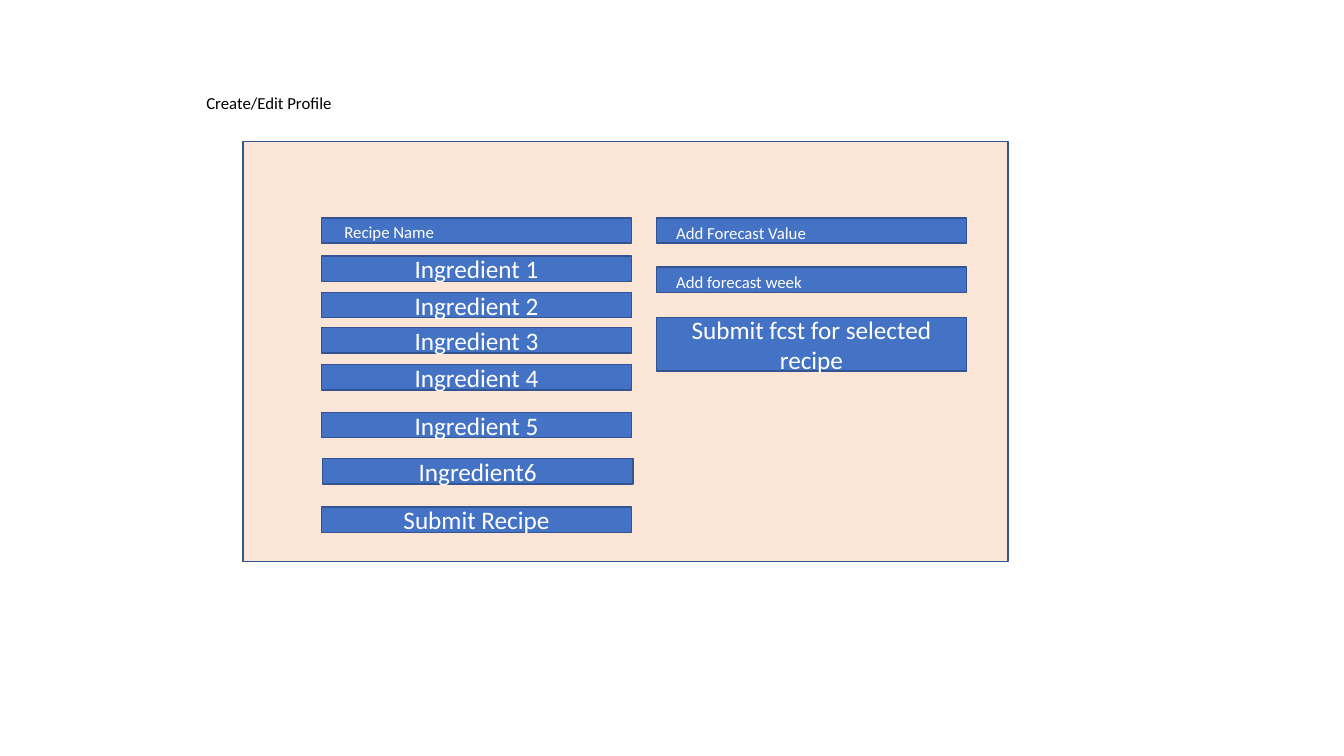
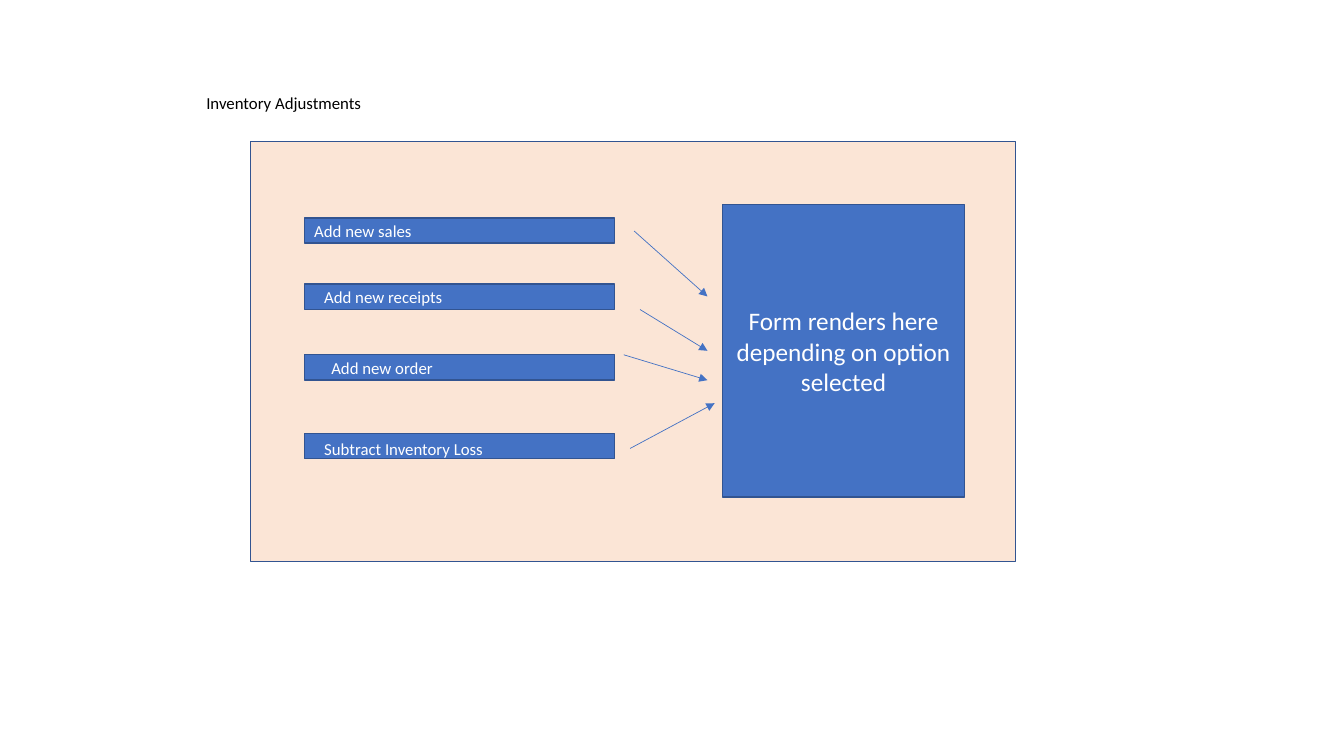
import lxml.etree
import pptx
import pptx.dml.color
import pptx.enum.shapes
import pptx.enum.text
import pptx.oxml.ns
import pptx.util

Cm = pptx.util.Cm
COLORS = {
    "panel": "FBE5D6",
    "accent": "4472C4",
    "outline": "325491",
    "title": "000000",
    "light": "FFFFFF",
}
FONT = "Calibri"
BAR_WIDTH, BAR_HEIGHT = 7.82, 0.64
LABEL_HEIGHT = 0.76


def color(name):
    """Return the named palette colour."""
    return pptx.dml.color.RGBColor.from_string(COLORS[name])


def write_text(shape, text, size=12, ink="light", align="LEFT", anchor="TOP"):
    """Write one formatted paragraph into a shape."""
    frame = shape.text_frame
    frame.word_wrap = True
    frame.vertical_anchor = getattr(pptx.enum.text.MSO_ANCHOR, anchor)
    paragraph = frame.paragraphs[0]
    paragraph.alignment = getattr(pptx.enum.text.PP_ALIGN, align)
    run = paragraph.add_run()
    run.text = text
    run.font.name = FONT
    run.font.size = pptx.util.Pt(size)
    run.font.color.rgb = color(ink)


def add_box(slide, left, top, width=BAR_WIDTH, height=BAR_HEIGHT, text="", fill="accent"):
    """Add an outlined rectangle with optional centred text."""
    shape = slide.shapes.add_shape(
        pptx.enum.shapes.MSO_SHAPE.RECTANGLE, Cm(left), Cm(top), Cm(width), Cm(height))
    shape.shadow.inherit = False
    shape.fill.solid()
    shape.fill.fore_color.rgb = color(fill)
    shape.line.color.rgb = color("outline")
    shape.line.width = pptx.util.Pt(1)
    if text:
        write_text(shape, text, size=18, align="CENTER", anchor="MIDDLE")


def add_label(slide, text, left, top, width, ink="light"):
    """Add a small left-aligned text box."""
    box = slide.shapes.add_textbox(Cm(left), Cm(top), Cm(width), Cm(LABEL_HEIGHT))
    write_text(box, text, ink=ink)
    box.text_frame.auto_size = pptx.enum.text.MSO_AUTO_SIZE.SHAPE_TO_FIT_TEXT


def add_arrow(slide, *ends):
    """Add a thin straight arrow between two points."""
    connector = slide.shapes.add_connector(
        pptx.enum.shapes.MSO_CONNECTOR.STRAIGHT, *map(Cm, ends))
    connector.line.color.rgb = color("accent")
    connector.line.width = pptx.util.Pt(0.5)
    qn = pptx.oxml.ns.qn
    lxml.etree.SubElement(connector.line._get_or_add_ln(), qn("a:tailEnd"), type="triangle")
    lxml.etree.SubElement(connector._element.spPr, qn("a:effectLst"))


def add_screen(presentation, title, panel_left):
    """Add a slide with its title and background panel."""
    slide = presentation.slides.add_slide(presentation.slide_layouts[6])
    add_label(slide, title, 4.95, 2.21, 24.54, ink="title")
    add_box(slide, panel_left, 3.56, 19.28, 10.59, fill="panel")
    return slide


def build_profile(presentation):
    """Build the recipe and forecast form."""
    slide = add_screen(presentation, "Create/Edit Profile", 6.12)
    recipe_left, forecast_left = 8.1, 16.54
    add_box(slide, recipe_left, 5.49)
    add_label(slide, "Recipe Name", 8.43, 5.46, 5.28)
    for text, left, top in (
        ("Ingredient 1", recipe_left, 6.45),
        ("Ingredient 2", recipe_left, 7.37),
        ("Ingredient 3", recipe_left, 8.26),
        ("Ingredient 4", recipe_left, 9.19),
        ("Ingredient 5", recipe_left, 10.39),
        ("Ingredient6", 8.13, 11.56),
        ("Submit Recipe", recipe_left, 12.78),
    ):
        add_box(slide, left, top, text=text)
    for text, top in (("Add Forecast Value", 5.49), ("Add forecast week", 6.73)):
        add_box(slide, forecast_left, top)
        add_label(slide, text, 16.79, top, 6.15)
    add_box(slide, forecast_left, 8, height=1.35, text="Submit fcst for selected recipe")


def build_inventory(presentation):
    """Build the inventory options and the form they open."""
    slide = add_screen(presentation, "Inventory Adjustments", 6.32)
    for text, bar_top, left, top, width in (
        ("Add new sales", 5.49, 7.67, 5.44, 6.2),
        ("Add new receipts", 7.16, 7.92, 7.09, 7.19),
        ("Add new order", 8.94, 8.1, 8.89, 5.79),
        ("Subtract Inventory Loss", 10.92, 7.92, 10.92, 6.15),
    ):
        add_box(slide, 7.67, bar_top)
        add_label(slide, text, left, top, width)
    add_box(slide, 18.21, 5.16, 6.1, 7.37,
            text="Form renders here depending on option selected")
    for ends in (
        (15.98, 5.82, 17.83, 7.47),
        (16.13, 7.8, 17.83, 8.84),
        (15.72, 8.94, 17.83, 9.58),
        (15.88, 11.3, 18.01, 10.16),
    ):
        add_arrow(slide, *ends)


def main():
    """Build and save the presentation."""
    presentation = pptx.Presentation()
    presentation.slide_width = Cm(33.87)
    presentation.slide_height = Cm(19.05)
    build_profile(presentation)
    build_inventory(presentation)
    presentation.save("out.pptx")


main()
